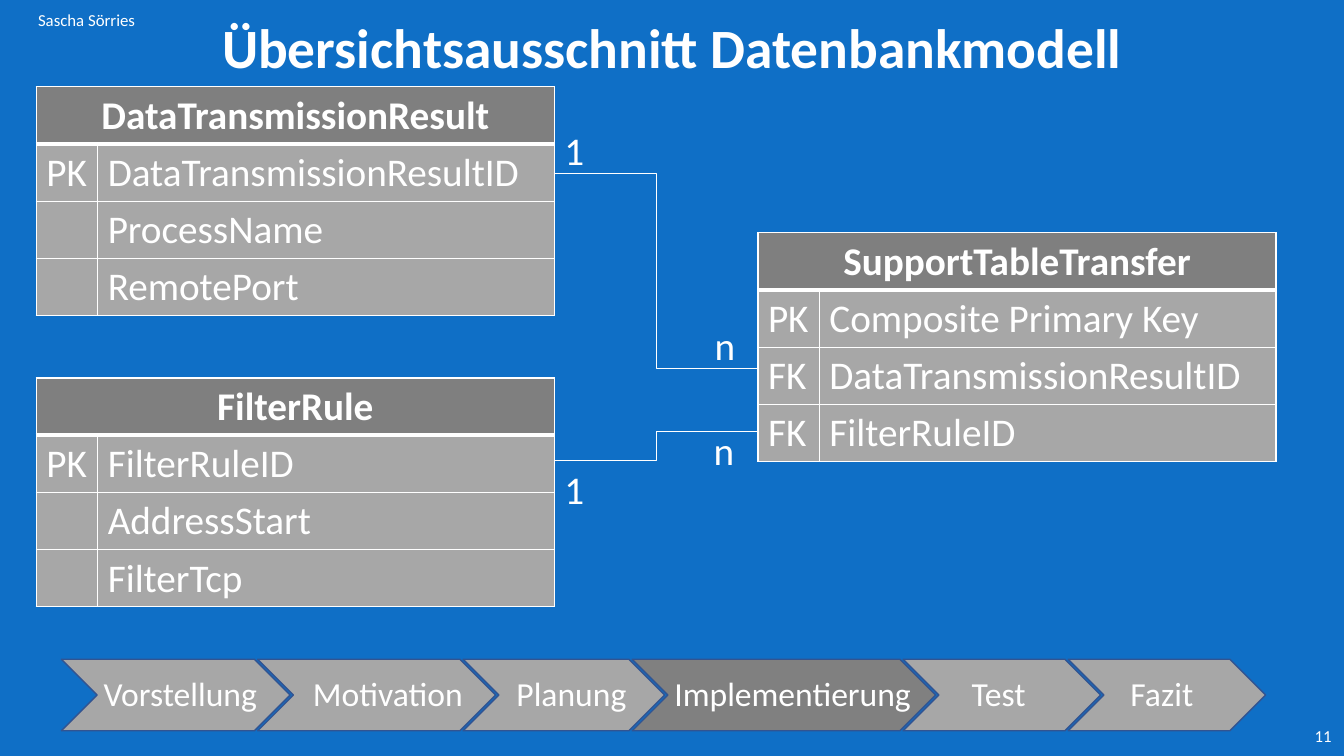
from dataclasses import dataclass

from lxml import etree
from pptx import Presentation
from pptx.dml.color import RGBColor
from pptx.enum import shapes, text
from pptx.oxml import ns
from pptx.util import Pt

COLORS = {"back": "0F6FC6", "white": "FFFFFF", "head": "7F7F7F",
          "cell": "A7A7A7", "active": "808080", "edge": "325491"}
FONT = "Calibri"
ROW = 40.9
COLS = (43.9, 326.2)
OVERLAP = 23.2
LEFT, MID, RIGHT = text.PP_ALIGN.LEFT, text.PP_ALIGN.CENTER, text.PP_ALIGN.RIGHT


@dataclass
class Entity:
    name: str
    left: float
    top: float
    fields: tuple[tuple[str, str], ...]


@dataclass
class Link:
    start: tuple[float, float]
    end: tuple[float, float]


@dataclass
class Label:
    words: str
    left: float
    top: float


@dataclass
class Step:
    name: str
    width: float
    inset: float
    room: float
    fill: str = "cell"


ENTITIES = (
    Entity("DataTransmissionResult", 25.9, 61.9,
           (("PK", "DataTransmissionResultID"), ("", "ProcessName"), ("", "RemotePort"))),
    Entity("FilterRule", 25.9, 270,
           (("PK", "FilterRuleID"), ("", "AddressStart"), ("", "FilterTcp"))),
    Entity("SupportTableTransfer", 541.4, 166.3,
           (("PK", "Composite Primary Key"), ("FK", "DataTransmissionResultID"),
            ("FK", "FilterRuleID"))),
)
LINKS = (Link((396, 123.8), (541.4, 262.9)), Link((396, 329), (541.4, 308.2)))
LABELS = (Label("1", 396, 86.4), Label("1", 396, 329),
          Label("n", 502.6, 301), Label("n", 503.3, 226.1))
STEPS = (
    Step("Vorstellung", 163.4, 23, 162.7),
    Step("Motivation", 169.9, 32.4, 199.4),
    Step("Planung", 144, 31, 109.4),
    Step("Implementierung", 216.7, 23, 250.6, "active"),
    Step("Test", 141.1, 41.8, 109.4),
    Step("Fazit", 141.1, 37.4, 109.4),
)


def tint(key: str) -> RGBColor:
    return RGBColor.from_string(COLORS[key])


def write(frame, words: str, *, size: float = 28, bold: bool = False,
          align=LEFT, spacing: float | None = None) -> None:
    para = frame.paragraphs[0]
    para.alignment = align
    if spacing:
        para.line_spacing = spacing
    run = para.add_run()
    run.text = words
    font = run.font
    font.name, font.size, font.bold = FONT, Pt(size), bold
    font.color.rgb = tint("white")


def put(slide, words: str, left: float, top: float, width: float, height: float, *,
        wrap: bool = True, anchor=text.MSO_ANCHOR.TOP, **style) -> None:
    """Place a text box; style goes on to write."""
    frame = slide.shapes.add_textbox(Pt(left), Pt(top), Pt(width), Pt(height)).text_frame
    frame.word_wrap = wrap
    frame.vertical_anchor = anchor
    write(frame, words, **style)


def border(cell, **widths: float) -> None:
    """Set white borders; must run before the cell's fill is set."""
    props = cell._tc.get_or_add_tcPr()
    for side, width in widths.items():
        line = etree.SubElement(props, ns.qn(f"a:ln{side}"), w=str(Pt(width)))
        solid = etree.SubElement(line, ns.qn("a:solidFill"))
        etree.SubElement(solid, ns.qn("a:srgbClr"), val=COLORS["white"])


def draw_entity(slide, entity: Entity) -> None:
    rows = ((entity.name, ""),) + entity.fields
    table = slide.shapes.add_table(len(rows), len(COLS), Pt(entity.left), Pt(entity.top),
                                   Pt(sum(COLS)), Pt(ROW * len(rows))).table
    for col, width in zip(table.columns, COLS):
        col.width = Pt(width)
    table.cell(0, 0).merge(table.cell(0, 1))
    for y, row in enumerate(rows):
        table.rows[y].height = Pt(ROW)
        for x, words in enumerate(row):
            cell = table.cell(y, x)
            border(cell, L=1, R=1, T=3 if y == 1 else 1, B=3 if y == 0 else 1)
            cell.fill.solid()
            cell.fill.fore_color.rgb = tint("cell" if y else "head")
            if words:
                write(cell.text_frame, words, bold=y == 0, align=LEFT if y else MID)


def draw_link(slide, link: Link) -> None:
    line = slide.shapes.add_connector(shapes.MSO_CONNECTOR.ELBOW,
                                      *map(Pt, link.start + link.end))
    line.line.color.rgb = tint("white")
    line.line.width = Pt(0.5)
    etree.SubElement(line._element.spPr, ns.qn("a:effectLst"))


def draw_steps(slide) -> None:
    left = 43.9
    spots = []
    for step in STEPS:
        arrow = slide.shapes.add_shape(shapes.MSO_SHAPE.CHEVRON, Pt(left), Pt(470.9),
                                       Pt(step.width), Pt(51.1))
        arrow.shadow.inherit = False
        arrow.fill.solid()
        arrow.fill.fore_color.rgb = tint(step.fill)
        arrow.line.color.rgb = tint("edge")
        arrow.line.width = Pt(1)
        spots.append(left + step.inset)
        left += step.width - OVERLAP
    for step, spot in zip(STEPS, spots):
        put(slide, step.name, spot, 477.4, step.room, 36, size=24)


def main() -> None:
    deck = Presentation()
    deck.slide_width, deck.slide_height = Pt(960), Pt(540)
    slide = deck.slides.add_slide(deck.slide_layouts[6])
    slide.background.fill.solid()
    slide.background.fill.fore_color.rgb = tint("back")

    draw_steps(slide)
    middle = text.MSO_ANCHOR.MIDDLE
    put(slide, "11", 911.5, 511.2, 46.8, 28.8, size=12, align=RIGHT, anchor=middle)
    put(slide, "Übersichtsausschnitt Datenbankmodell", 66.2, 11.5, 828, 49.7,
        size=39.6, bold=True, align=MID, spacing=0.9, anchor=middle)
    for entity in ENTITIES:
        draw_entity(slide, entity)
    for link in LINKS:
        draw_link(slide, link)
    for label in LABELS:
        put(slide, label.words, label.left, label.top, 29, 41, wrap=False)
    put(slide, "Sascha Sörries", 0, 0, 123.8, 28.8, size=12, align=MID, anchor=middle)
    deck.save("out.pptx")


if __name__ == "__main__":
    main()
